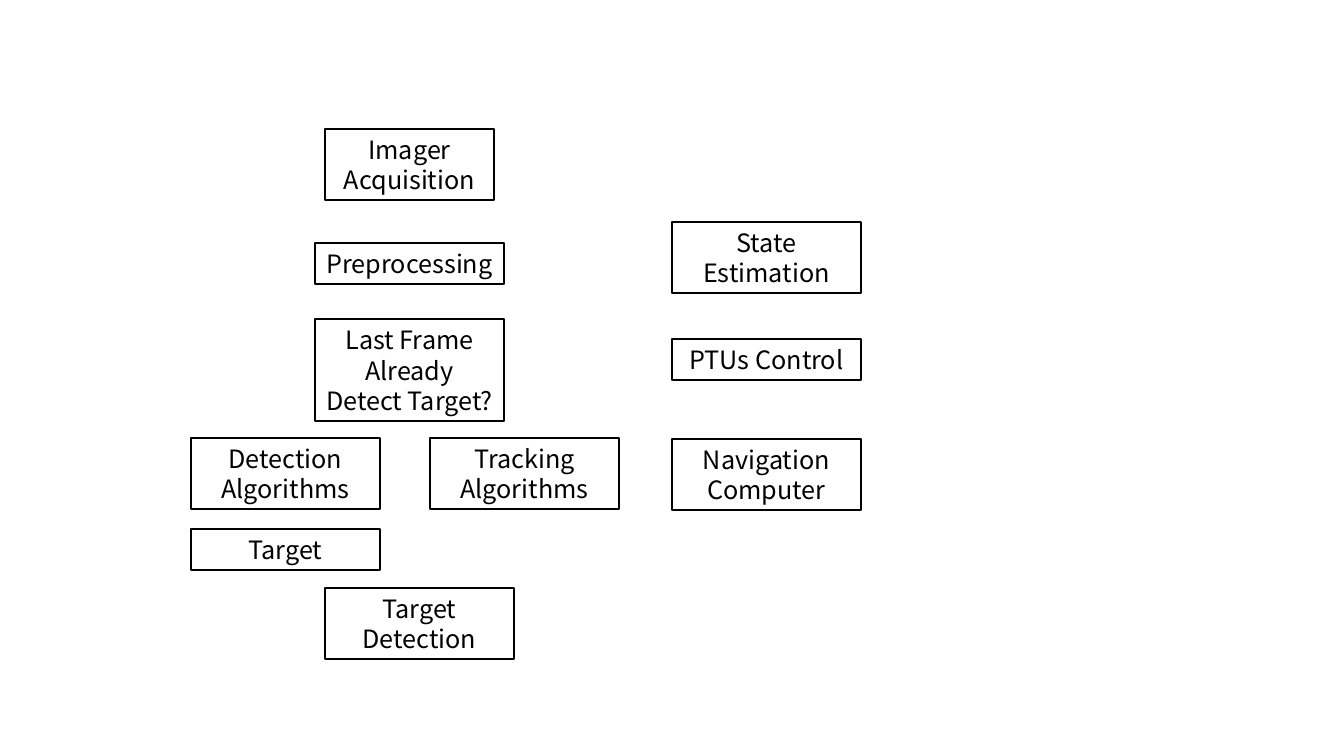
"""Build a slide with the boxes of a target tracking pipeline."""
from pptx import Presentation
from pptx.dml.color import RGBColor
from pptx.enum.shapes import MSO_SHAPE
from pptx.enum.text import MSO_AUTO_SIZE, PP_ALIGN
from pptx.util import Pt

SCALE = 914400 / 100.8
COLORS = {"paper": "FFFFFF", "ink": "000000"}
FONT = "Noto Sans CJK SC"
WIDE = 189
PAD, LINE = 10, 30.6
LEFT, MID, RIGHT = 191, 315, 672
STEPS = [
    ("Imager Acquisition", 325, 129, 169, 2),
    ("Preprocessing", MID, 243, WIDE, 1),
    ("Target", LEFT, 529, WIDE, 1),
    ("Detection Algorithms", LEFT, 438, WIDE, 2),
    ("Last Frame Already Detect Target?", MID, 319, WIDE, 3),
    ("Tracking Algorithms", 430, 438, WIDE, 2),
    ("Target Detection", 325, 588, WIDE, 2),
    ("State Estimation", RIGHT, 222, WIDE, 2),
    ("PTUs Control", RIGHT, 339, WIDE, 1),
    ("Navigation\nComputer", RIGHT, 439, WIDE, 2),
]


def emu(pixels):
    return round(pixels * SCALE)


def color(name):
    return RGBColor.from_string(COLORS[name])


def style(frame):
    frame.word_wrap = True
    frame.auto_size = MSO_AUTO_SIZE.SHAPE_TO_FIT_TEXT
    for para in frame.paragraphs:
        para.alignment = PP_ALIGN.CENTER
        for run in para.runs:
            run.font.name = FONT
            run.font.size = Pt(18)
            run.font.color.rgb = color("ink")


def add_box(slide, text, left, top, width, lines):
    height = round(PAD + LINE * lines)
    box = slide.shapes.add_shape(
        MSO_SHAPE.RECTANGLE, emu(left), emu(top), emu(width), emu(height))
    box.shadow.inherit = False
    box.fill.solid()
    box.fill.fore_color.rgb = color("paper")
    box.line.color.rgb = color("ink")
    box.line.width = Pt(1)
    box.text_frame.text = text
    style(box.text_frame)


def main():
    deck = Presentation()
    deck.slide_width, deck.slide_height = emu(1344), emu(756)
    slide = deck.slides.add_slide(deck.slide_layouts[6])
    for step in STEPS:
        add_box(slide, *step)
    deck.save("out.pptx")


main()
